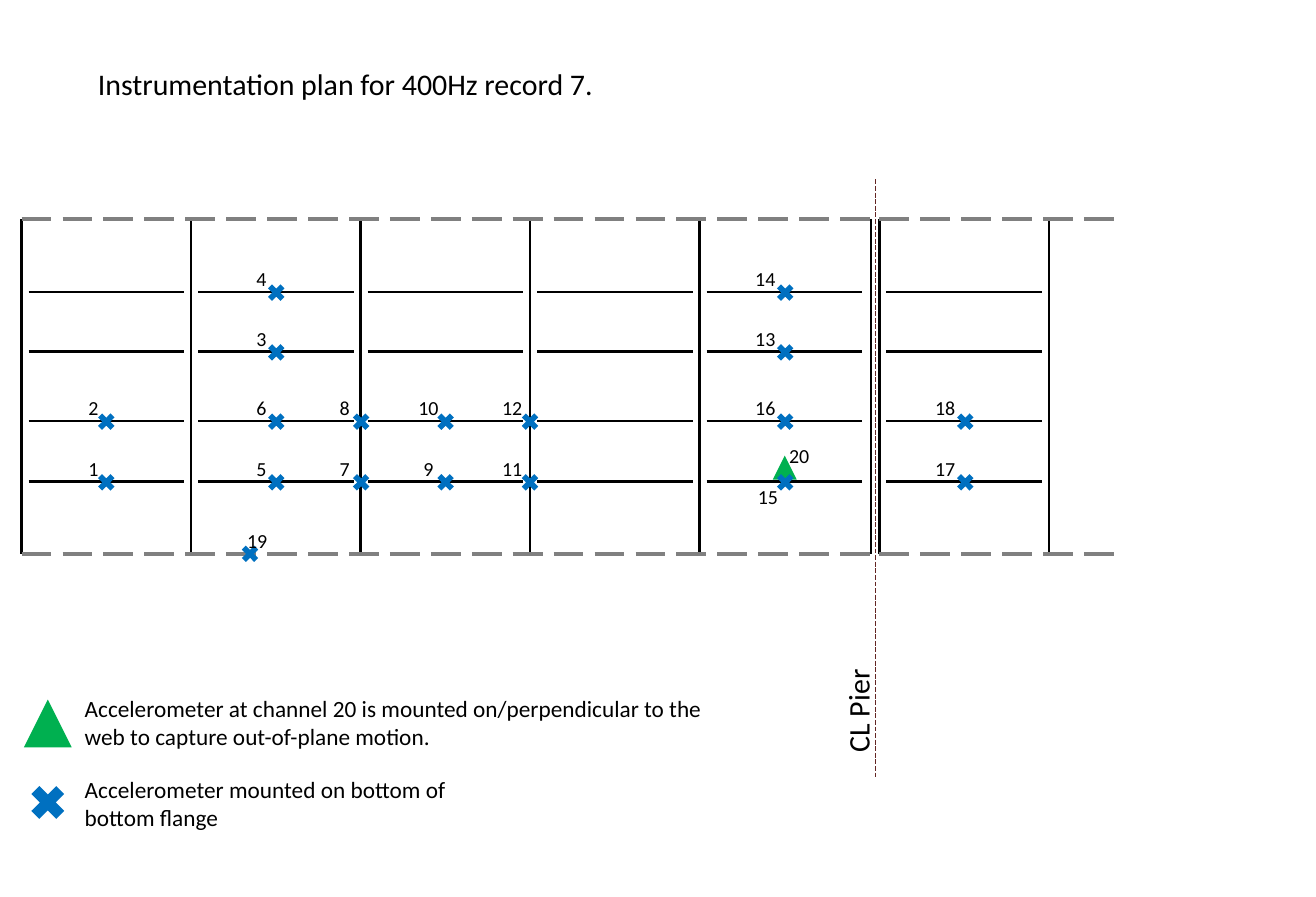
from lxml import etree
from pptx import Presentation
from pptx.dml.color import RGBColor
from pptx.enum import dml, shapes, text
from pptx.oxml import ns
from pptx.util import Pt

BLACK = RGBColor(0, 0, 0)
GRAY = RGBColor(0x80, 0x80, 0x80)
MAROON = RGBColor(0x63, 0x25, 0x23)
GREEN = RGBColor(0x00, 0xB0, 0x50)
BLUE = RGBColor(0x00, 0x70, 0xC0)

CROSS = shapes.MSO_SHAPE.MATH_MULTIPLY
TRIANGLE = shapes.MSO_SHAPE.ISOSCELES_TRIANGLE

TOP, BOTTOM = 131.8, 333.4
GIRDERS = [175.7, 211.7, 253.4, 289.9]
BAY, BAYS = 102, 5
SPAN_LEFT, SPAN_RIGHT = 13, 524.2
NEXT_LEFT, NEXT_RIGHT = 529.2, 673.2
BAY_STARTS = [SPAN_LEFT + BAY * i for i in range(BAYS)] + [NEXT_LEFT]
CROSS_FRAMES = BAY_STARTS + [NEXT_LEFT + BAY, SPAN_RIGHT]
INSET = 4.3
MARK = 14.4
ICON = 28.8

COLUMNS = [
    (64, 56.2, [None, None, 2, 1]),
    (166.3, 157.3, [4, 3, 6, 5]),
    (217.4, 207.4, [None, None, 8, 7]),
    (268.2, 257.8, [None, None, 10, 9]),
    (319, 308.2, [None, None, 12, 11]),
    (472.6, 460.6, [14, 13, 16, 15]),
    (581, 568.8, [None, None, 18, 17]),
]
LABEL_RISE = 8
LABEL_PLACES = {15: (462.2, 298.8)}


def add_line(s, x1, y1, x2, y2, color=BLACK, width=1.5, dash=None):
    c = s.shapes.add_connector(shapes.MSO_CONNECTOR.STRAIGHT,
                               Pt(x1), Pt(y1), Pt(x2), Pt(y2))
    c.line.color.rgb = color
    c.line.width = Pt(width)
    if dash:
        c.line.dash_style = dash
    etree.SubElement(c._element.spPr, ns.qn("a:effectLst"))


def add_symbol(s, kind, cx, cy, size, color):
    sp = s.shapes.add_shape(kind, Pt(cx - size / 2), Pt(cy - size / 2),
                            Pt(size), Pt(size))
    sp.shadow.inherit = False
    sp.fill.solid()
    sp.fill.fore_color.rgb = color
    sp.line.fill.background()


def add_text(s, words, x, y, w, h, size, insets=(7.2, 3.6, 7.2, 3.6),
             align=text.PP_ALIGN.LEFT):
    sp = s.shapes.add_textbox(Pt(x), Pt(y), Pt(w), Pt(h))
    tf = sp.text_frame
    tf.word_wrap = True
    tf.margin_left, tf.margin_top, tf.margin_right, tf.margin_bottom = map(Pt, insets)
    tf.text = words
    p = tf.paragraphs[0]
    p.alignment = align
    r = p.runs[0]
    r.font.name = "Calibri"
    r.font.size = Pt(size)
    r.font.color.rgb = BLACK
    return sp


def add_label(s, channel, cx, cy):
    add_text(s, str(channel), cx - MARK / 2, cy - MARK / 2, MARK, MARK, 12,
             (0, 0, 0, 0), text.PP_ALIGN.CENTER)


def draw_framing(s):
    for x in CROSS_FRAMES:
        add_line(s, x, TOP, x, BOTTOM)
    for x in BAY_STARTS:
        for y in GIRDERS:
            add_line(s, x + INSET, y, x + INSET + 93.6, y)
    for y in (TOP, BOTTOM):
        for left, right in ((SPAN_LEFT, SPAN_RIGHT), (NEXT_LEFT, NEXT_RIGHT)):
            add_line(s, left, y, right, y, GRAY, 2.25, dml.MSO_LINE.LONG_DASH)


def draw_pier(s):
    c = text.PP_ALIGN.LEFT
    add_line(s, 527, 108, 527, 468, MAROON, 1, dml.MSO_LINE.SQUARE_DOT)
    sp = add_text(s, "CL Pier", 465.1, 405.4, 102.2, 21.6, 18, (14.4, 0, 7.2, 0), c)
    sp.rotation = 270


def draw_channels(s):
    for x, label_x, channels in COLUMNS:
        for y, channel in zip(GIRDERS, channels):
            if channel:
                add_symbol(s, CROSS, x, y + 0.5, MARK, BLUE)
                add_label(s, channel,
                          *LABEL_PLACES.get(channel, (label_x, y - LABEL_RISE)))
    add_symbol(s, CROSS, 150.5, BOTTOM, MARK, BLUE)
    add_label(s, 19, 154.8, 325.4)
    add_label(s, 20, 481, 274.3)


def draw_legend(s):
    add_symbol(s, TRIANGLE, 28.8, 435.6, ICON, GREEN)
    add_text(s, "Accelerometer at channel 20 is mounted on/perpendicular to the "
                "web to capture out-of-plane motion.", 43.9, 414.7, 401, 41, 14)
    add_symbol(s, CROSS, 28.8, 483.1, ICON, BLUE)
    add_text(s, "Accelerometer mounted on bottom of bottom flange",
             43.9, 463, 245.5, 41, 14)


def main():
    prs = Presentation()
    prs.slide_width, prs.slide_height = Pt(792), Pt(540)
    s = prs.slides.add_slide(prs.slide_layouts[6])
    add_text(s, "Instrumentation plan for 400Hz record 7.", 51.8, 36, 317.5, 28.8, 18)
    add_symbol(s, TRIANGLE, 472.3, 281.5, MARK, GREEN)
    draw_framing(s)
    draw_pier(s)
    draw_channels(s)
    draw_legend(s)
    prs.save("out.pptx")


main()
